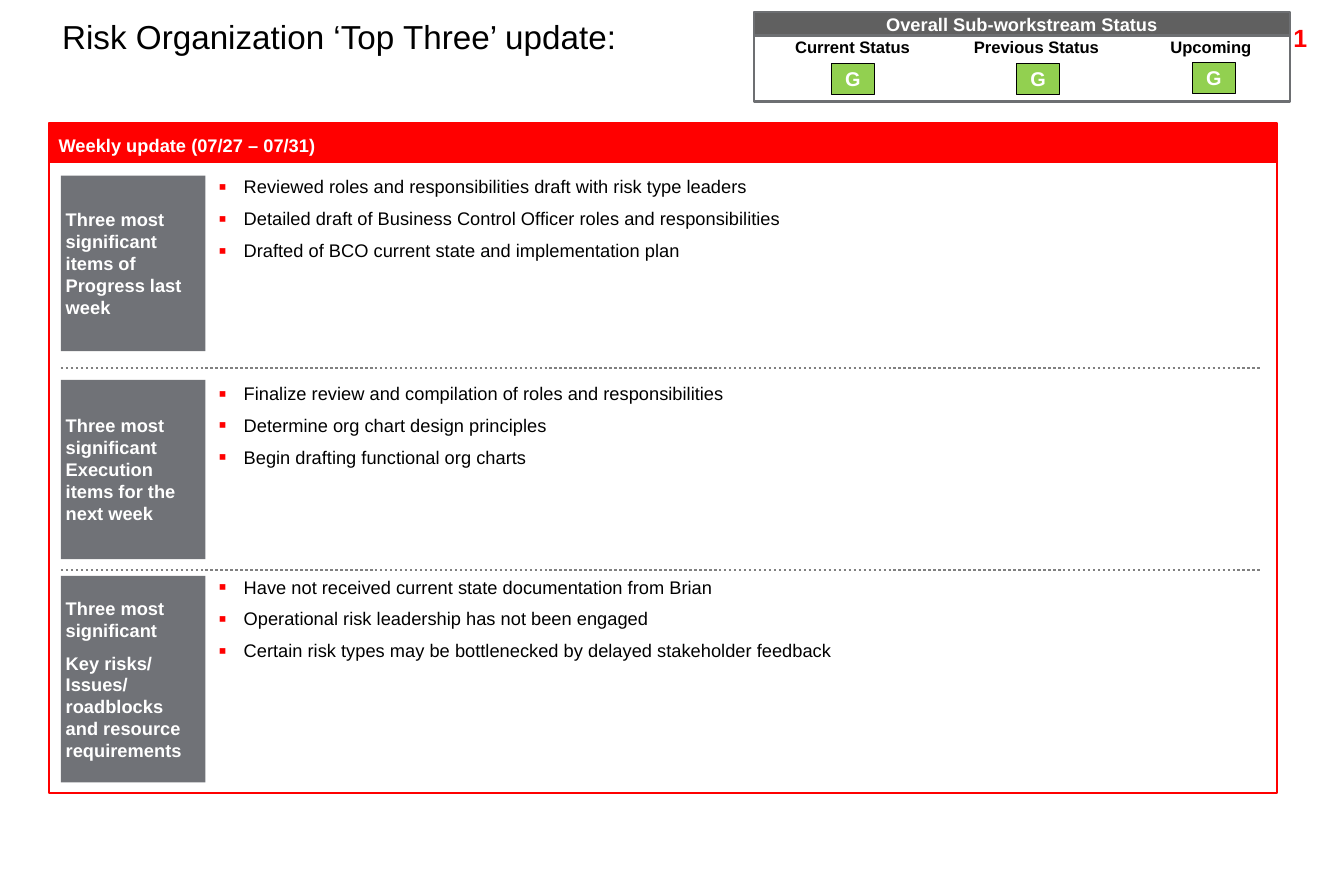
from pptx import Presentation
from pptx.dml.color import RGBColor
from pptx.enum.dml import MSO_LINE
from pptx.enum.shapes import MSO_CONNECTOR, MSO_SHAPE
from pptx.enum.text import MSO_ANCHOR, MSO_AUTO_SIZE, PP_ALIGN
from pptx.oxml.ns import qn
from pptx.util import Inches, Pt
from lxml import etree

TITLE = "Risk Organization ‘Top Three’ update:"
PERIOD = "Weekly update (07/27 – 07/31)"
STATUS_HEADING = "Overall Sub-workstream Status"
SECTIONS = [
    {"top": 1.47, "height": 1.47, "items_top": 1.47, "divider": 3.08,
     "label": ["Three most significant items of Progress last week"],
     "items": ["Reviewed roles and responsibilities draft with risk type leaders",
               "Detailed draft of Business Control Officer roles and responsibilities",
               "Drafted of BCO current state and implementation plan"]},
    {"top": 3.18, "height": 1.5, "items_top": 3.2, "divider": 4.77,
     "label": ["Three most significant Execution items for the next week"],
     "items": ["Finalize review and compilation of roles and responsibilities",
               "Determine org chart design principles",
               "Begin drafting functional org charts"]},
    {"top": 4.82, "height": 1.73, "items_top": 4.82, "divider": None,
     "label": ["Three most significant",
               "Key risks/ Issues/ roadblocks and resource requirements"],
     "items": ["Have not received current state documentation from Brian",
               "Operational risk leadership has not been engaged",
               "Certain risk types may be bottlenecked by delayed stakeholder feedback"]},
]
STATUSES = [
    ("Current Status ", 6.16, "G", 6.96, 0.53),
    ("Previous Status", 7.68, "G", 8.51, 0.53),
    ("Upcoming", 9.14, "G", 9.98, 0.52),
]
RED, WHITE, BLACK = "FF0000", "FFFFFF", "000000"
LABEL_GREY, HEADING_GREY, BORDER_GREY = "707277", "606060", "6D6F72"
DOT_GREY, GREEN = "808080", "92D050"
LEFT, RIGHT = 0.51, 10.55
ITEMS_LEFT = 1.83


def color(value):
    return RGBColor.from_string(value)


def write(shape, paragraphs, size, ink, bold=False, align=PP_ALIGN.LEFT,
          anchor=MSO_ANCHOR.TOP, insets=(0.1, 0.05), before=0):
    frame = shape.text_frame
    frame.word_wrap = True
    frame.auto_size = MSO_AUTO_SIZE.NONE
    frame.vertical_anchor = anchor
    frame.margin_left = frame.margin_right = Inches(insets[0])
    frame.margin_top = frame.margin_bottom = Inches(insets[1])
    for index, text in enumerate(paragraphs):
        paragraph = frame.add_paragraph() if index else frame.paragraphs[0]
        paragraph.alignment = align
        paragraph.space_before = Pt(before)
        run = paragraph.add_run()
        run.text = text
        run.font.name = "Arial"
        run.font.size = Pt(size)
        run.font.bold = bold
        run.font.color.rgb = color(ink)
    return frame


def add_box(left, top, width, height, fill, line=None, weight=1):
    box = slide.shapes.add_shape(MSO_SHAPE.RECTANGLE, Inches(left), Inches(top),
                                 Inches(width), Inches(height))
    box.shadow.inherit = False
    box.fill.solid()
    box.fill.fore_color.rgb = color(fill)
    if line:
        box.line.color.rgb = color(line)
        box.line.width = Pt(weight)
    else:
        box.line.fill.background()
    return box


def add_text(left, top, width, height):
    return slide.shapes.add_textbox(Inches(left), Inches(top), Inches(width), Inches(height))


def add_divider(y):
    divider = slide.shapes.add_connector(MSO_CONNECTOR.STRAIGHT, Inches(LEFT), Inches(y),
                                         Inches(RIGHT), Inches(y))
    divider.line.color.rgb = color(DOT_GREY)
    divider.line.width = Pt(1.5)
    divider.line.dash_style = MSO_LINE.ROUND_DOT
    etree.SubElement(divider._element.spPr, qn("a:effectLst"))


def add_bullet(paragraph):
    properties = paragraph._p.get_or_add_pPr()
    properties.set("marL", str(Inches(0.21)))
    properties.set("indent", str(-Inches(0.21)))
    bullet_color = etree.SubElement(properties, qn("a:buClr"))
    etree.SubElement(bullet_color, qn("a:srgbClr"), val=RED)
    etree.SubElement(properties, qn("a:buSzPct"), val="125000")
    etree.SubElement(properties, qn("a:buFont"), typeface="Arial")
    etree.SubElement(properties, qn("a:buChar"), char="▪")


prs = Presentation()
prs.slide_width, prs.slide_height = Inches(11.25), Inches(7.5)
slide = prs.slides.add_slide(prs.slide_layouts[5])

title = slide.shapes.title
title.left, title.top = Inches(0.42), Inches(0.12)
title.width, title.height = Inches(5.72), Inches(0.43)
write(title, [TITLE], 20, BLACK).paragraphs[0].line_spacing = 0.9

write(add_text(9.97, 0.14, 1.07, 0.5), ["1"], 15, RED, True, PP_ALIGN.RIGHT)

add_box(0.41, 1.03, 10.28, 5.61, WHITE, RED, 1.5)
write(add_box(0.41, 1.04, 10.28, 0.32, RED, RED, 0.75), [PERIOD], 11, WHITE, True,
      insets=(0.08, 0.08))

for section in SECTIONS:
    label = add_box(LEFT, section["top"], 1.21, section["height"], LABEL_GREY)
    write(label, section["label"], 11, WHITE, True, anchor=MSO_ANCHOR.MIDDLE,
          insets=(0.04, 0.04), before=6.6)
    items = add_text(ITEMS_LEFT, section["items_top"], RIGHT - ITEMS_LEFT, 0.72)
    frame = write(items, section["items"], 11, BLACK, insets=(0, 0), before=6)
    for paragraph in frame.paragraphs:
        add_bullet(paragraph)
    if section["divider"]:
        add_divider(section["divider"])

write(add_box(6.31, 0.1, 4.49, 0.2, HEADING_GREY, BORDER_GREY, 1.5), [STATUS_HEADING],
      11, WHITE, True, PP_ALIGN.CENTER, MSO_ANCHOR.MIDDLE, (0.03, 0.03))
add_box(6.31, 0.3, 4.49, 0.55, WHITE, BORDER_GREY, 1.5)
for caption, caption_left, rating, rating_left, rating_top in STATUSES:
    write(add_text(caption_left, 0.26, 1.99, 0.31), [caption], 10, BLACK, True,
          PP_ALIGN.CENTER)
    write(add_box(rating_left, rating_top, 0.36, 0.26, GREEN, BLACK, 0.25), [rating],
          12, WHITE, True, PP_ALIGN.CENTER, MSO_ANCHOR.MIDDLE, (0, 0))

prs.save("out.pptx")
